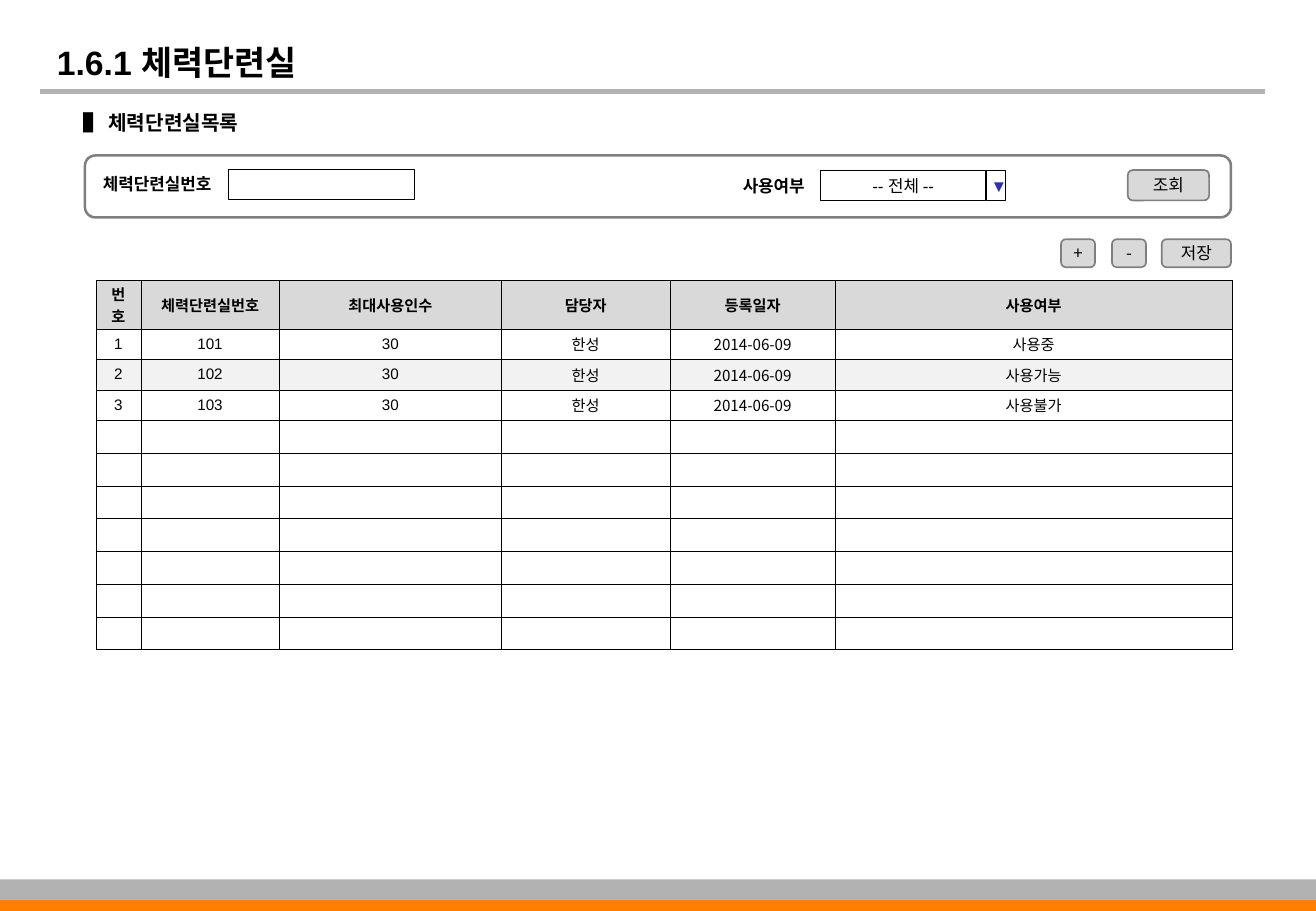
"""Build the fitness room list screen slide."""
from lxml import etree
from pptx import Presentation
from pptx.dml.color import RGBColor
from pptx.enum import shapes, text
from pptx.oxml import ns
from pptx.util import Inches, Pt

KOREAN = "Noto Sans CJK KR"
color = RGBColor.from_string
RECT, ROUND = shapes.MSO_SHAPE.RECTANGLE, shapes.MSO_SHAPE.ROUNDED_RECTANGLE
MIDDLE = text.MSO_ANCHOR.MIDDLE


def write(frame, words, size=10, font="Arial", ink="000000", bold=False,
          align="CENTER", anchor=MIDDLE, wrap=True, insets=(0.1, 0.05)):
    frame.word_wrap = wrap
    frame.vertical_anchor = anchor
    frame.margin_left = frame.margin_right = Inches(insets[0])
    frame.margin_top = frame.margin_bottom = Inches(insets[1])
    paragraph = frame.paragraphs[0]
    paragraph.alignment = getattr(text.PP_ALIGN, align)
    run = paragraph.add_run()
    run.text = words
    run.font.size, run.font.name, run.font.bold = Pt(size), font, bold
    run.font.color.rgb = color(ink)
    etree.SubElement(run.font._element, ns.qn("a:ea"), typeface=KOREAN)


def box(kind, place, fill=None, line=None, weight=0.26):
    shape = slide.shapes.add_shape(kind, *map(Inches, place))
    shape.shadow.inherit = False
    if kind == ROUND:
        shape.adjustments[0] = 0.167
    if fill:
        shape.fill.solid()
        shape.fill.fore_color.rgb = color(fill)
    else:
        shape.fill.background()
    if line:
        shape.line.color.rgb = color(line)
        shape.line.width = Pt(weight)
    else:
        shape.line.fill.background()
    return shape.text_frame


deck = Presentation()
deck.slide_width, deck.slide_height = Inches(10.84), Inches(7.5)
slide = deck.slides.add_slide(deck.slide_layouts[6])

title_rule = slide.shapes.add_connector(
    shapes.MSO_CONNECTOR.STRAIGHT, *map(Inches, (0.33, 0.75, 10.42, 0.75)))
title_rule.line.color.rgb = color("B2B2B2")
title_rule.line.width = Pt(3)
etree.SubElement(title_rule._element.spPr, ns.qn("a:effectLst"))

box(RECT, (0, 7.34, 10.84, 0.16), "FF7D00")
box(RECT, (0, 7.24, 10.84, 0.17), "B2B2B2")

headings = [
    ("1.6.1 체력단련실", (0.37, 0.23, 8.06, 0.5), 20, text.MSO_ANCHOR.BOTTOM, True),
    ("▌ 체력단련실목록", (0.59, 0.86, 3.96, 0.3), 12, text.MSO_ANCHOR.TOP, True),
    ("체력단련실번호", (0.75, 1.38, 1.09, 0.27), 10, text.MSO_ANCHOR.TOP, False),
    ("사용여부", (6.02, 1.4, 0.71, 0.27), 10, text.MSO_ANCHOR.TOP, False),
]
for words, place, size, anchor, wrap in headings:
    label = slide.shapes.add_textbox(*map(Inches, place))
    write(label.text_frame, words, size, bold=True, align="LEFT", anchor=anchor, wrap=wrap)

columns = [("번호", 0.37), ("체력단련실번호", 1.14), ("최대사용인수", 1.83),
           ("담당자", 1.39), ("등록일자", 1.36), ("사용여부", 3.27)]
rooms = [(str(number), str(100 + number), "30", "한성", "2014-06-09", status)
         for number, status in enumerate(("사용중", "사용가능", "사용불가"), 1)]
rows = [[name for name, width in columns]] + rooms + [[""] * len(columns)] * 7
heights = [0.4] + [0.25] * len(rooms) + [0.27] * 7
row_fills = {0: "D9D9D9", 2: "F2F2F2"}

room_table = slide.shapes.add_table(
    len(rows), len(columns), *map(Inches, (0.79, 2.31, 9.36, sum(heights)))).table
for column, (name, width) in zip(room_table.columns, columns):
    column.width = Inches(width)
for r, (values, height) in enumerate(zip(rows, heights)):
    room_table.rows[r].height = Inches(height)
    for c, value in enumerate(values):
        cell = room_table.cell(r, c)
        cell.vertical_anchor = MIDDLE
        cell.margin_left = cell.margin_right = Inches(0.04 if r else 0.1)
        cell.margin_top = cell.margin_bottom = Inches(0.02)
        properties = cell._tc.get_or_add_tcPr()
        for side in ("lnL", "lnR", "lnT", "lnB"):
            border = etree.SubElement(properties, ns.qn("a:" + side), w=str(Pt(0.23)))
            solid = etree.SubElement(border, ns.qn("a:solidFill"))
            etree.SubElement(solid, ns.qn("a:srgbClr"), val="000000")
        if r in row_fills:
            cell.fill.solid()
            cell.fill.fore_color.rgb = color(row_fills[r])
        else:
            cell.fill.background()
        if value:
            font = KOREAN if r and c in (3, 4) else "Arial"
            write(cell.text_frame, value, 9, font, bold=r == 0, wrap=None,
                  anchor=None, insets=(0.04 if r else 0.1, 0.02))
        else:
            paragraph = cell.text_frame.paragraphs[0]
            etree.SubElement(paragraph._p, ns.qn("a:endParaRPr"), sz="900")

box(ROUND, (0.7, 1.28, 9.44, 0.51), line="7F7F7F", weight=1.5)
box(RECT, (1.88, 1.39, 1.53, 0.25), "FFFFFF", "000000")
usage_choice = box(RECT, (6.76, 1.4, 1.36, 0.25), "FFFFFF", "000000")
write(usage_choice, "-- 전체 --", insets=(0.04, 0.04))
usage_arrow = box(RECT, (8.12, 1.4, 0.16, 0.25), line="000000")
write(usage_arrow, "▼", ink="2D2DB9", insets=(0.04, 0.04))

buttons = [("조회", (9.29, 1.4, 0.67, 0.25), "Arial"),
           ("저장", (9.57, 1.97, 0.57, 0.23), KOREAN),
           ("-", (9.16, 1.97, 0.28, 0.23), KOREAN),
           ("+", (8.74, 1.97, 0.28, 0.23), KOREAN)]
for words, place, font in buttons:
    write(box(ROUND, place, "D9D9D9", "7F7F7F", 0.99), words, font=font, insets=(0, 0.05))

deck.save("out.pptx")
